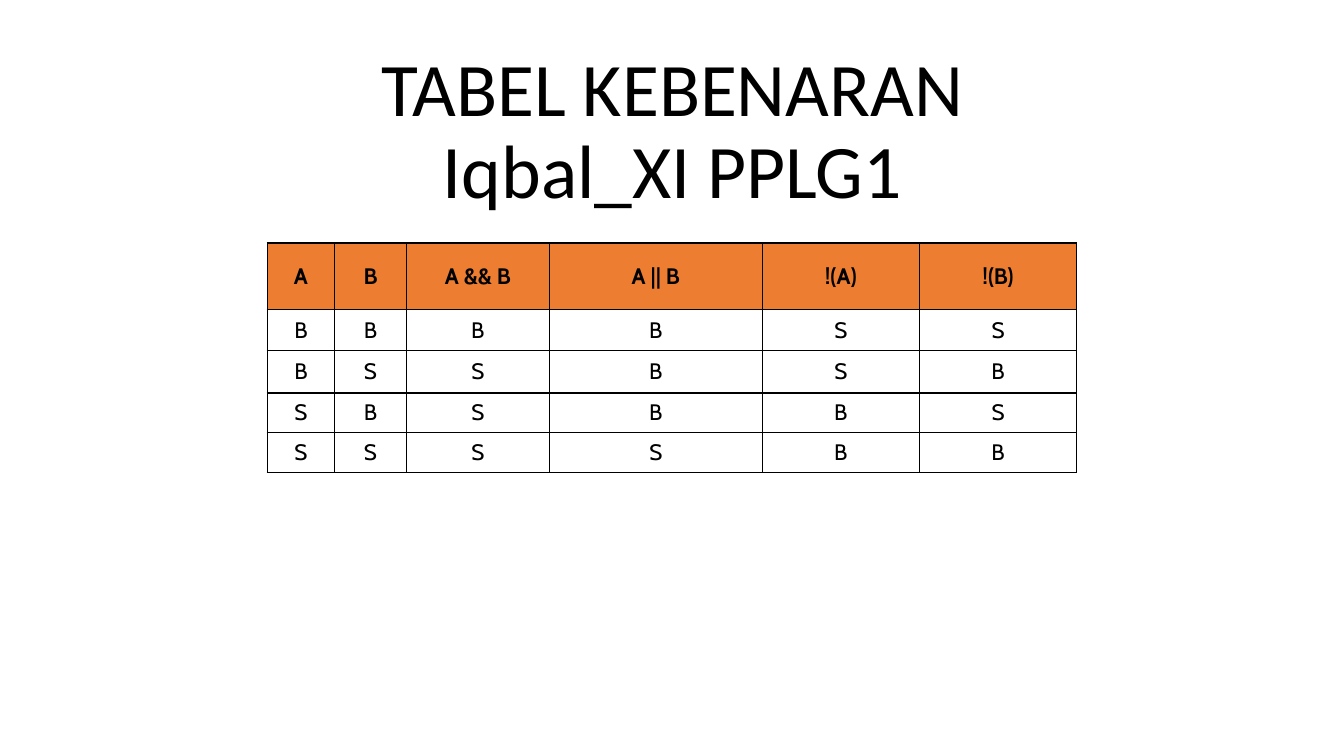
import dataclasses

import lxml.etree
import pptx
import pptx.dml.color
import pptx.enum.text
import pptx.oxml.ns
import pptx.util

Inches = pptx.util.Inches
Pt = pptx.util.Pt
RGBColor = pptx.dml.color.RGBColor
Align = pptx.enum.text.PP_ALIGN
Anchor = pptx.enum.text.MSO_ANCHOR
qn = pptx.oxml.ns.qn


@dataclasses.dataclass(frozen=True)
class Theme:
    ink: str = "000000"
    header_fill: str = "ED7D31"
    body_fill: str = "FFFFFF"
    title_font: str = "Calibri"
    table_font: str = "Cabin"
    title_size: int = 54
    table_size: int = 16
    border_width: int = 1


THEME = Theme()

TITLE = "TABEL KEBENARAN\nIqbal_XI PPLG1"
COLUMN_WIDTHS = [0.67, 0.71, 1.42, 2.11, 1.56, 1.56]
ROW_HEIGHTS = [0.66, 0.41, 0.42, 0.39, 0.4]
TRUTH_ROWS = [
    ["A", "B", "A && B", "A || B", "!(A)", "!(B)"],
    ["B", "B", "B", "B", "S", "S"],
    ["B", "S", "S", "B", "S", "B"],
    ["S", "B", "S", "B", "B", "S"],
    ["S", "S", "S", "S", "B", "B"],
]


def apply_format(target, values):
    for name, value in values.items():
        setattr(target, name, value)


def write_centred(paragraph, text, font_name, size, bold=False):
    paragraph.text = text
    paragraph.alignment = Align.CENTER
    for run in paragraph.runs:
        apply_format(run.font, {"name": font_name, "size": Pt(size), "bold": bold})
        run.font.color.rgb = RGBColor.from_string(THEME.ink)


def add_title(slide):
    title = slide.shapes.add_textbox(Inches(1.67), Inches(1.23), Inches(10), Inches(0.95))
    apply_format(title.text_frame, {"word_wrap": True, "vertical_anchor": Anchor.BOTTOM})
    heading = title.text_frame.paragraphs[0]
    write_centred(heading, TITLE, THEME.title_font, THEME.title_size)
    heading.line_spacing = 0.9


def add_borders(cell):
    properties = cell._tc.get_or_add_tcPr()
    for side in ("a:lnL", "a:lnR", "a:lnT", "a:lnB"):
        border = lxml.etree.SubElement(properties, qn(side), w=str(Pt(THEME.border_width)))
        border_fill = lxml.etree.SubElement(border, qn("a:solidFill"))
        lxml.etree.SubElement(border_fill, qn("a:srgbClr"), val=THEME.ink)


def format_cell(cell, text, is_header):
    apply_format(cell, {
        "vertical_anchor": Anchor.MIDDLE,
        "margin_top": Inches(0.03),
        "margin_bottom": Inches(0.03),
    })
    write_centred(cell.text_frame.paragraphs[0], text,
                  THEME.table_font, THEME.table_size, is_header)
    add_borders(cell)
    cell.fill.solid()
    fill = THEME.header_fill if is_header else THEME.body_fill
    cell.fill.fore_color.rgb = RGBColor.from_string(fill)


def add_truth_table(slide):
    truth_table = slide.shapes.add_table(
        len(ROW_HEIGHTS), len(COLUMN_WIDTHS), Inches(2.65), Inches(2.41),
        Inches(sum(COLUMN_WIDTHS)), Inches(sum(ROW_HEIGHTS))).table
    for column, width in zip(truth_table.columns, COLUMN_WIDTHS):
        column.width = Inches(width)
    for index, (row, height) in enumerate(zip(truth_table.rows, ROW_HEIGHTS)):
        row.height = Inches(height)
        for cell, text in zip(row.cells, TRUTH_ROWS[index]):
            format_cell(cell, text, is_header=index == 0)


def main():
    presentation = pptx.Presentation()
    apply_format(presentation, {"slide_width": Inches(13.33), "slide_height": Inches(7.5)})
    slide = presentation.slides.add_slide(presentation.slide_layouts[6])

    # Heading
    add_title(slide)

    # Truth table
    add_truth_table(slide)

    presentation.save("out.pptx")


if __name__ == "__main__":
    main()
